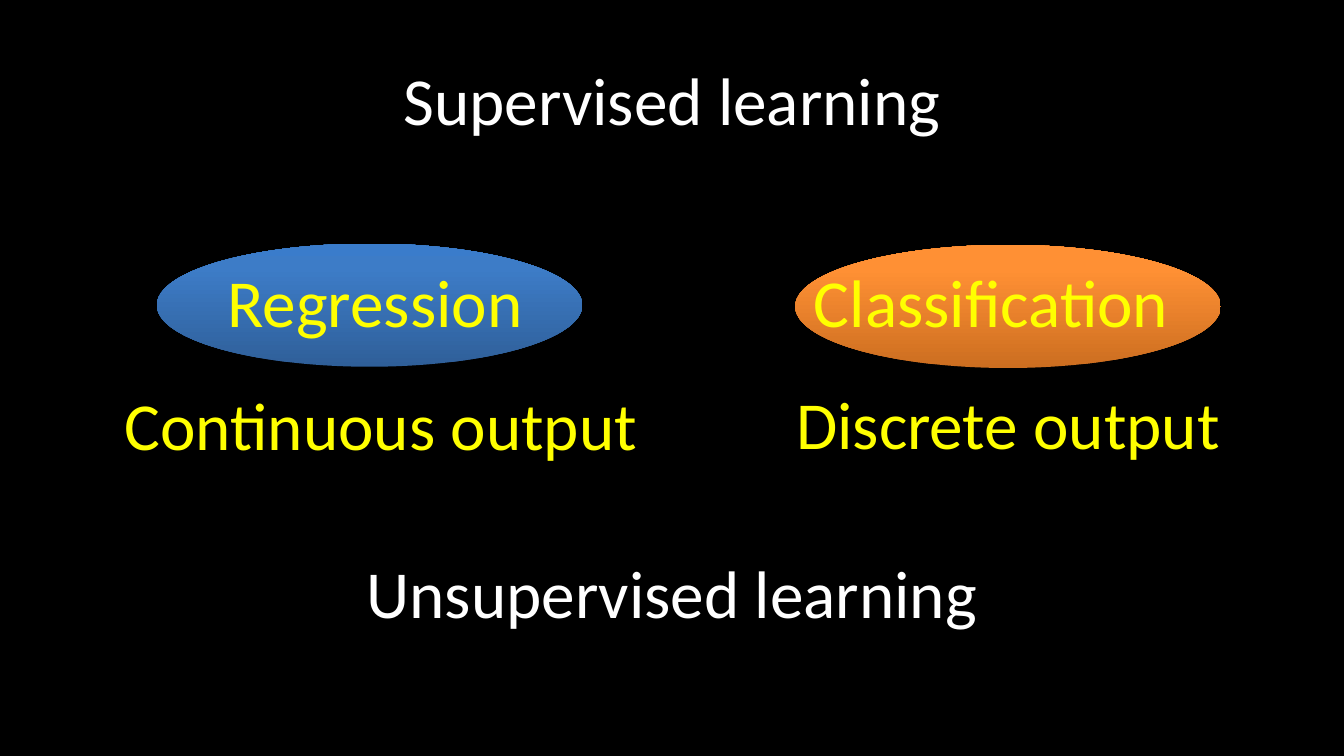
import copy

import pptx
import pptx.dml.color
import pptx.enum.shapes
import pptx.enum.text
import pptx.oxml.ns
import pptx.util

Pt = pptx.util.Pt


def rgb(value):
    return pptx.dml.color.RGBColor.from_string(value)


def write(s, text, color, left, top, width):
    """Place a one-line label and centre its text both ways."""
    s.left, s.top, s.width, s.height = Pt(left), Pt(top), Pt(width), Pt(61.2)
    tf = s.text_frame
    tf.text = text
    tf.word_wrap = True
    tf.auto_size = pptx.enum.text.MSO_AUTO_SIZE.NONE
    tf.vertical_anchor = pptx.enum.text.MSO_ANCHOR.MIDDLE
    p = tf.paragraphs[0]
    p.alignment = pptx.enum.text.PP_ALIGN.CENTER
    r = p.runs[0]
    r.font.name = "Calibri"
    r.font.size = Pt(36)
    r.font.color.rgb = rgb(color)


prs = pptx.Presentation()
prs.slide_width, prs.slide_height = Pt(720), Pt(405)
slide = prs.slides.add_slide(prs.slide_layouts[5])
slide.background.fill.solid()
slide.background.fill.fore_color.rgb = rgb("000000")

# Ellipses, shaded from the bottom up
ellipses = [
    (426, 131.2, ["CC6E20", "FF9034", "FF9136"]),
    (84, 130.5, ["2F5F99", "3D7CC7", "3A7CCB"]),
]
for left, top, colors in ellipses:
    s = slide.shapes.add_shape(
        pptx.enum.shapes.MSO_SHAPE.OVAL, Pt(left), Pt(top), Pt(228), Pt(66))
    s.shadow.inherit = False
    s.line.fill.background()
    s.fill.gradient()
    s.fill.gradient_angle = 90
    stops = s._element.spPr.find(".//" + pptx.oxml.ns.qn("a:gsLst"))
    stops.append(copy.deepcopy(stops[-1]))
    for stop, position, color in zip(s.fill.gradient_stops, [0, 0.8, 1], colors):
        stop.position = position
        stop.color.rgb = rgb(color)

# Headings and labels
write(slide.shapes.title, "Supervised learning", "FFFFFF", 0, 22.5, 720)
labels = [
    ("Unsupervised learning", "FFFFFF", 0, 286.5, 720),
    ("Regression", "FFFF00", 90, 130.5, 222),
    ("Classification", "FFFF00", 420, 130.5, 222),
    ("Continuous output", "FFFF00", 54, 196.5, 300),
    ("Discrete output", "FFFF00", 390, 196, 300),
]
for label in labels:
    write(slide.shapes.add_textbox(0, 0, 0, 0), *label)

prs.save("out.pptx")
